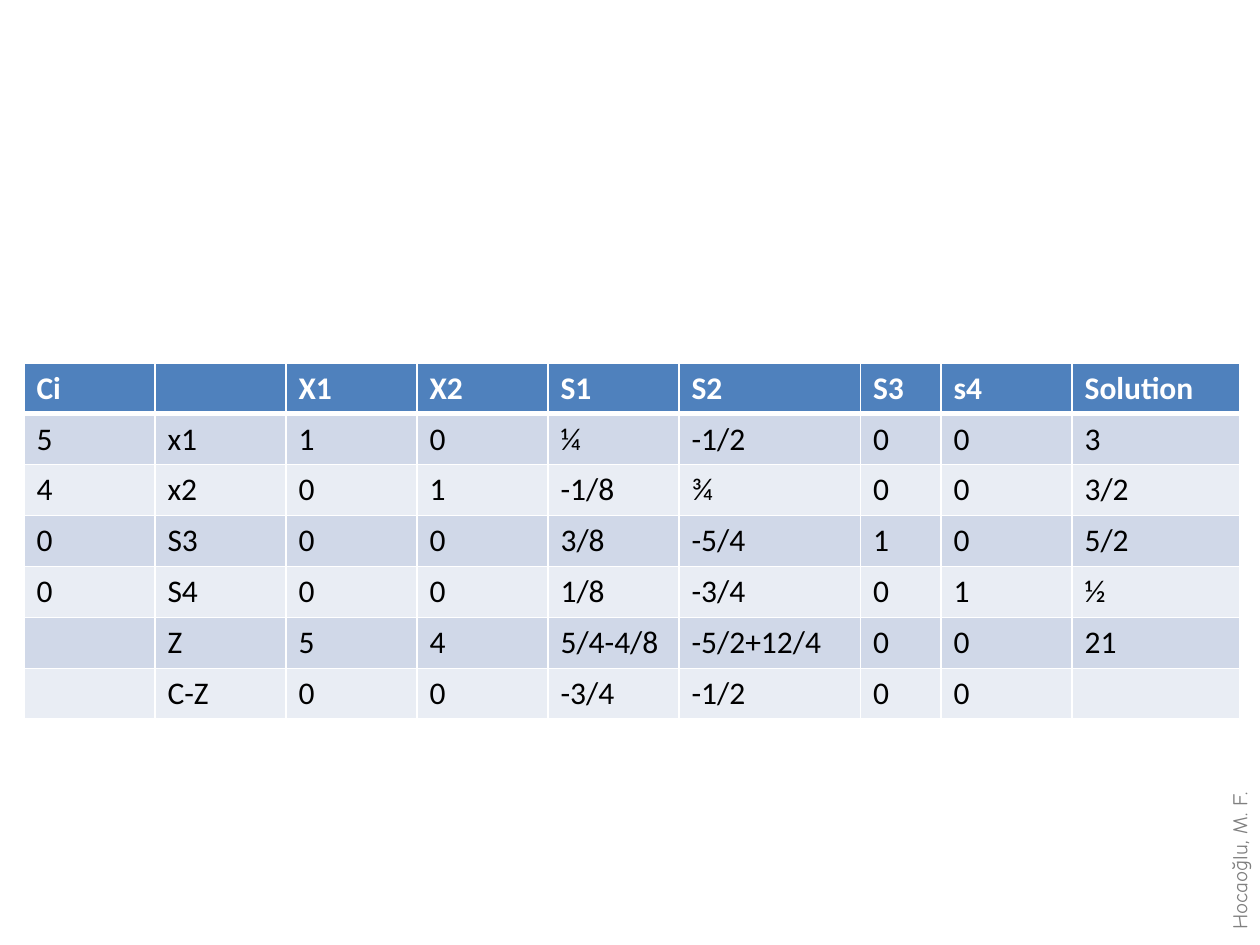
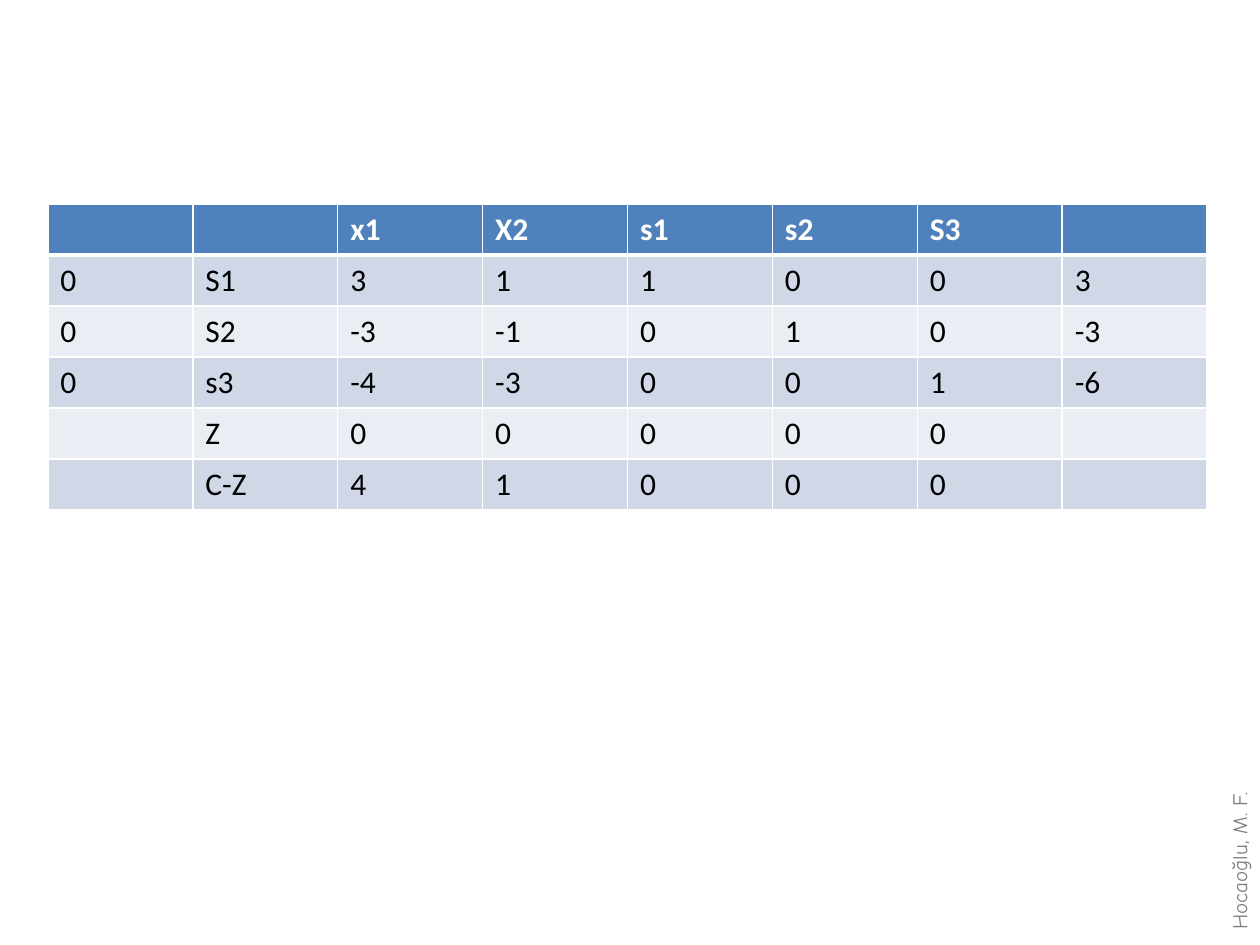
from dataclasses import dataclass

import lxml.etree
import pptx
import pptx.dml.color
import pptx.oxml.ns
import pptx.util

Inches = pptx.util.Inches
Pt = pptx.util.Pt

HEADER_FILL = "4F81BD"
BAND_FILLS = ("D0D8E8", "E9EDF4")
WHITE = "FFFFFF"
BLACK = "000000"
GREY = "808080"
TABLE_FONT = "Calibri"
AUTHOR_FONT = "Comic Neue"
AUTHOR = "Hocaoğlu, M. F."
THIN, THICK = 1, 3


@dataclass(frozen=True)
class Tableau:
    left: float
    top: float
    height: float
    column_widths: tuple[float, ...]
    rows: tuple[str, ...]


TABLEAUX = (
    Tableau(
        0.19, 2.88, 2.83,
        (1.04,) * 5 + (1.44, 0.64, 1.04, 1.33),
        (
            "Ci||X1|X2|S1|S2|S3|s4|Solution",
            "5|x1|1|0|¼|-1/2|0|0|3",
            "4|x2|0|1|-1/8|¾|0|0|3/2",
            "0|S3|0|0|3/8|-5/4|1|0|5/2",
            "0|S4|0|0|1/8|-3/4|0|1|½",
            "|Z|5|4|5/4-4/8|-5/2+12/4|0|0|21",
            "|C-Z|0|0|-3/4|-1/2|0|0|",
        ),
    ),
    Tableau(
        0.38, 1.62, 2.43,
        (1.15,) * 8,
        (
            "||x1|X2|s1|s2|S3|",
            "0|S1|3|1|1|0|0|3",
            "0|S2|-3|-1|0|1|0|-3",
            "0|s3|-4|-3|0|0|1|-6",
            "|Z|0|0|0|0|0|",
            "|C-Z|4|1|0|0|0|",
        ),
    ),
)


def color(value: str) -> pptx.dml.color.RGBColor:
    return pptx.dml.color.RGBColor.from_string(value)


def style_text(para, font_name: str, size: int, text_color: str, bold: bool = False) -> None:
    for span in para.runs:
        span.font.name = font_name
        span.font.size = Pt(size)
        span.font.bold = bold
        span.font.color.rgb = color(text_color)


def add_border(cell, side: str, width: int) -> None:
    qualified = pptx.oxml.ns.qn
    properties = cell._tc.get_or_add_tcPr()
    line = lxml.etree.SubElement(properties, qualified(f"a:ln{side}"), w=str(Pt(width)))
    fill = lxml.etree.SubElement(line, qualified("a:solidFill"))
    lxml.etree.SubElement(fill, qualified("a:srgbClr"), val=WHITE)


def format_cell(cell, text: str, row_index: int) -> None:
    is_header = row_index == 0
    borders = {
        "L": THIN,
        "R": THIN,
        "T": THICK if row_index == 1 else THIN,
        "B": THICK if is_header else THIN,
    }
    for side, width in borders.items():
        add_border(cell, side, width)
    cell.fill.solid()
    cell.fill.fore_color.rgb = color(HEADER_FILL if is_header else BAND_FILLS[(row_index - 1) % 2])
    if text:
        cell.text_frame.text = text
        style_text(cell.text_frame.paragraphs[0], TABLE_FONT, 18, WHITE if is_header else BLACK, is_header)


def add_tableau(page, tableau: Tableau) -> None:
    frame = page.shapes.add_table(
        len(tableau.rows), len(tableau.column_widths),
        Inches(tableau.left), Inches(tableau.top),
        Inches(sum(tableau.column_widths)), Inches(tableau.height),
    )
    table = frame.table
    for column, width in zip(table.columns, tableau.column_widths):
        column.width = Inches(width)
    for row_index, values in enumerate(tableau.rows):
        for column_index, text in enumerate(values.split("|")):
            format_cell(table.cell(row_index, column_index), text, row_index)


def add_author(page) -> None:
    box = page.shapes.add_textbox(Inches(9.02), Inches(6.51), Inches(1.63), Inches(0.3))
    box.rotation = 270
    box.text_frame.word_wrap = True
    box.text_frame.text = AUTHOR
    style_text(box.text_frame.paragraphs[0], AUTHOR_FONT, 12, GREY)


def main() -> None:
    deck = pptx.Presentation()
    deck.slide_width = Inches(10)
    deck.slide_height = Inches(7.5)
    for tableau in TABLEAUX:
        page = deck.slides.add_slide(deck.slide_layouts[6])
        add_author(page)
        add_tableau(page, tableau)
    deck.save("out.pptx")


if __name__ == "__main__":
    main()
